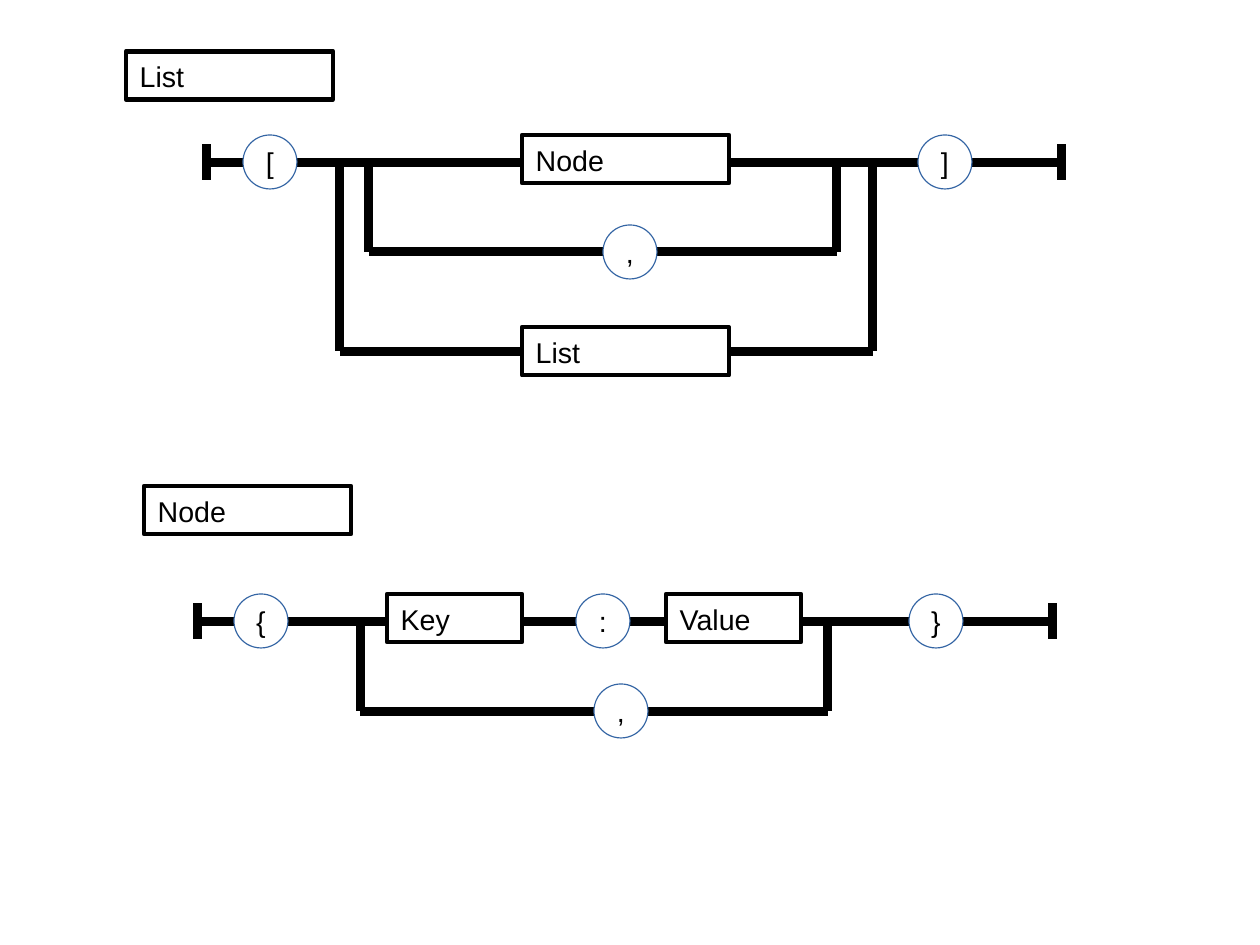
"""Draw railroad syntax diagrams for the List and Node rules."""
import pptx
import pptx.util
import pptx.dml.color
import pptx.enum.shapes
import pptx.enum.text
import pptx.oxml

SLIDE_SIZE = (28, 21)
INK, PAPER, RIM = "000000", "FFFFFF", "3465A4"
TRACK_LENGTH, STOP_HEIGHT = 19, 0.8
TERMINAL_SIZE, BOX_HEIGHT = 1.2, 1.07
TRACK_WEIGHT, BOX_WEIGHT = 5.67, 2.83

# Centimetres, measured from the start of each rule's track.
RULES = [
    {
        "origin": (4.6, 3.6),
        "loops": [(2.95, 14.8, 4.2), (3.6, 14, 2)],
        "boxes": [("List", -1.8, -2.46, 4.6), ("Node", 7, -0.6, 4.6), ("List", 7, 3.67, 4.6)],
        "terminals": [("[", 1.4, 0), ("]", 16.4, 0), (",", 9.4, 2)],
    },
    {
        "origin": (4.4, 13.8),
        "loops": [(3.6, 14, 2)],
        "boxes": [("Node", -1.2, -3, 4.6), ("Key", 4.2, -0.6, 3), ("Value", 10.4, -0.6, 3)],
        "terminals": [("{", 1.4, 0), (":", 9, 0), ("}", 16.4, 0), (",", 9.4, 2)],
    },
]

cm = pptx.util.Cm
Shape = pptx.enum.shapes.MSO_SHAPE


def color(hex_value):
    return pptx.dml.color.RGBColor.from_string(hex_value)


def add_track(shapes, x1, y1, x2, y2):
    straight = pptx.enum.shapes.MSO_CONNECTOR.STRAIGHT
    track = shapes.add_connector(straight, cm(x1), cm(y1), cm(x2), cm(y2))
    track.line.color.rgb = color(INK)
    track.line.width = pptx.util.Pt(TRACK_WEIGHT)
    properties = track._element.spPr
    properties.append(properties.makeelement(pptx.oxml.ns.qn("a:effectLst"), {}))


def add_symbol(shapes, kind, text, area, rim, weight, margins, align):
    symbol = shapes.add_shape(kind, *map(cm, area))
    symbol.shadow.inherit = False
    symbol.fill.solid()
    symbol.fill.fore_color.rgb = color(PAPER)
    symbol.line.color.rgb = color(rim)
    symbol.line.width = pptx.util.Pt(weight)
    frame = symbol.text_frame
    frame.text = text
    frame.margin_left = frame.margin_right = pptx.util.Inches(margins[0])
    frame.margin_top = frame.margin_bottom = pptx.util.Inches(margins[1])
    frame.paragraphs[0].alignment = align
    font = frame.paragraphs[0].runs[0].font
    font.name, font.size = "Arial", pptx.util.Pt(18)
    font.color.rgb = color(INK)
    return frame


def add_box(shapes, text, left, top, width):
    frame = add_symbol(shapes, Shape.RECTANGLE, text, (left, top, width, BOX_HEIGHT),
                       INK, BOX_WEIGHT, (0.12, 0.07), pptx.enum.text.PP_ALIGN.LEFT)
    frame.word_wrap = True
    frame.vertical_anchor = pptx.enum.text.MSO_ANCHOR.TOP
    frame.auto_size = pptx.enum.text.MSO_AUTO_SIZE.SHAPE_TO_FIT_TEXT


def add_terminal(shapes, text, x, y):
    radius = TERMINAL_SIZE / 2
    area = (x - radius, y - radius, TERMINAL_SIZE, TERMINAL_SIZE)
    frame = add_symbol(shapes, Shape.OVAL, text, area, RIM, 0, (0.1, 0.05),
                       pptx.enum.text.PP_ALIGN.CENTER)
    frame.word_wrap = False
    frame.vertical_anchor = pptx.enum.text.MSO_ANCHOR.MIDDLE


def draw_rule(shapes, rule):
    x, y = rule["origin"]
    main_track = shapes.add_group_shape().shapes
    add_track(main_track, x, y, x + TRACK_LENGTH, y)
    for stop in (x, x + TRACK_LENGTH):
        add_track(main_track, stop, y - STOP_HEIGHT / 2, stop, y + STOP_HEIGHT / 2)
    for left, right, depth in rule["loops"]:
        add_track(shapes, x + left, y + depth, x + right, y + depth)
        for side in (left, right):
            add_track(shapes, x + side, y, x + side, y + depth)
    for text, left, top, width in rule["boxes"]:
        add_box(shapes, text, x + left, y + top, width)
    for text, across, down in rule["terminals"]:
        add_terminal(shapes, text, x + across, y + down)


def main():
    deck = pptx.Presentation()
    deck.slide_width, deck.slide_height = map(cm, SLIDE_SIZE)
    slide = deck.slides.add_slide(deck.slide_layouts[6])
    for rule in RULES:
        draw_rule(slide.shapes, rule)
    deck.save("out.pptx")


if __name__ == "__main__":
    main()
